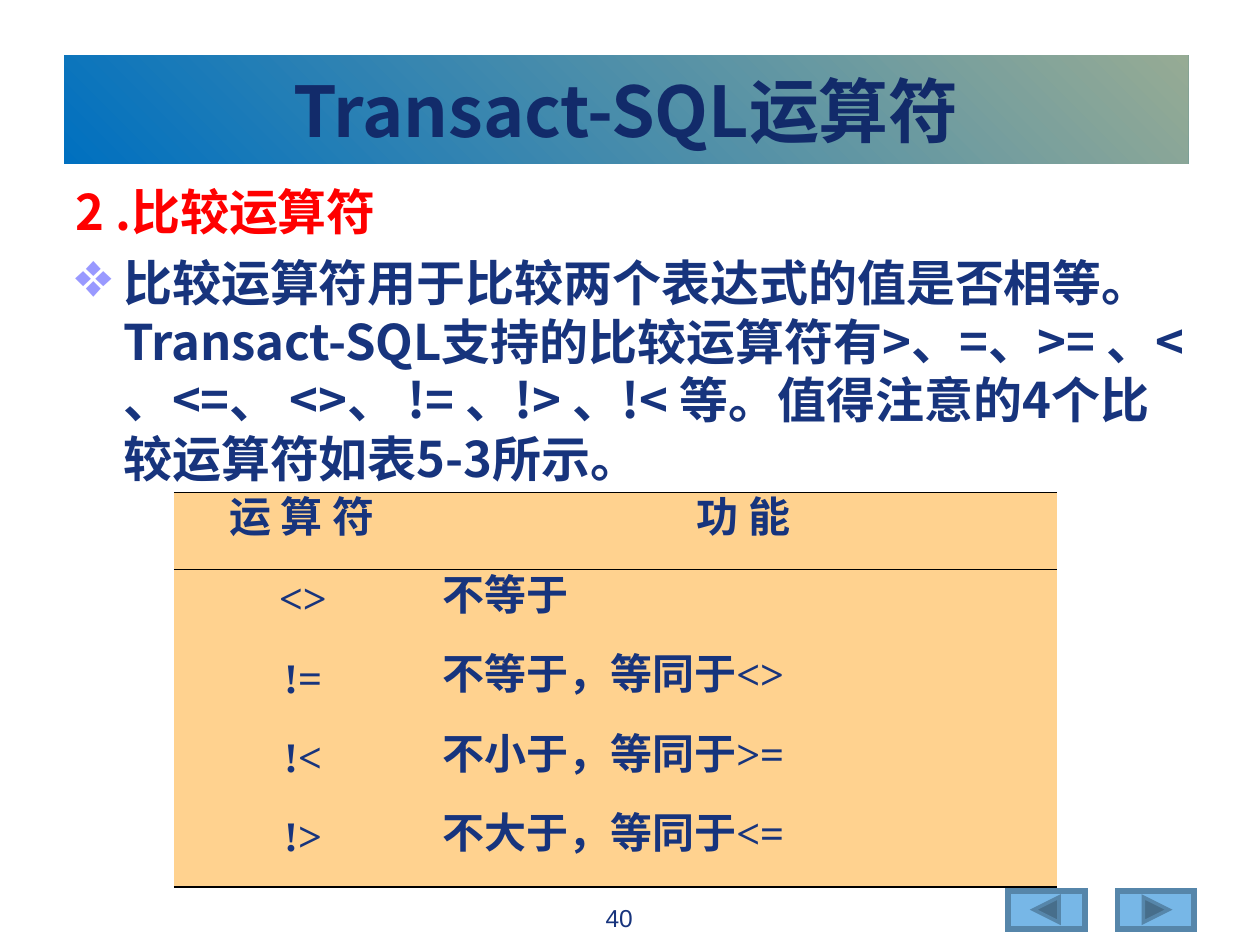
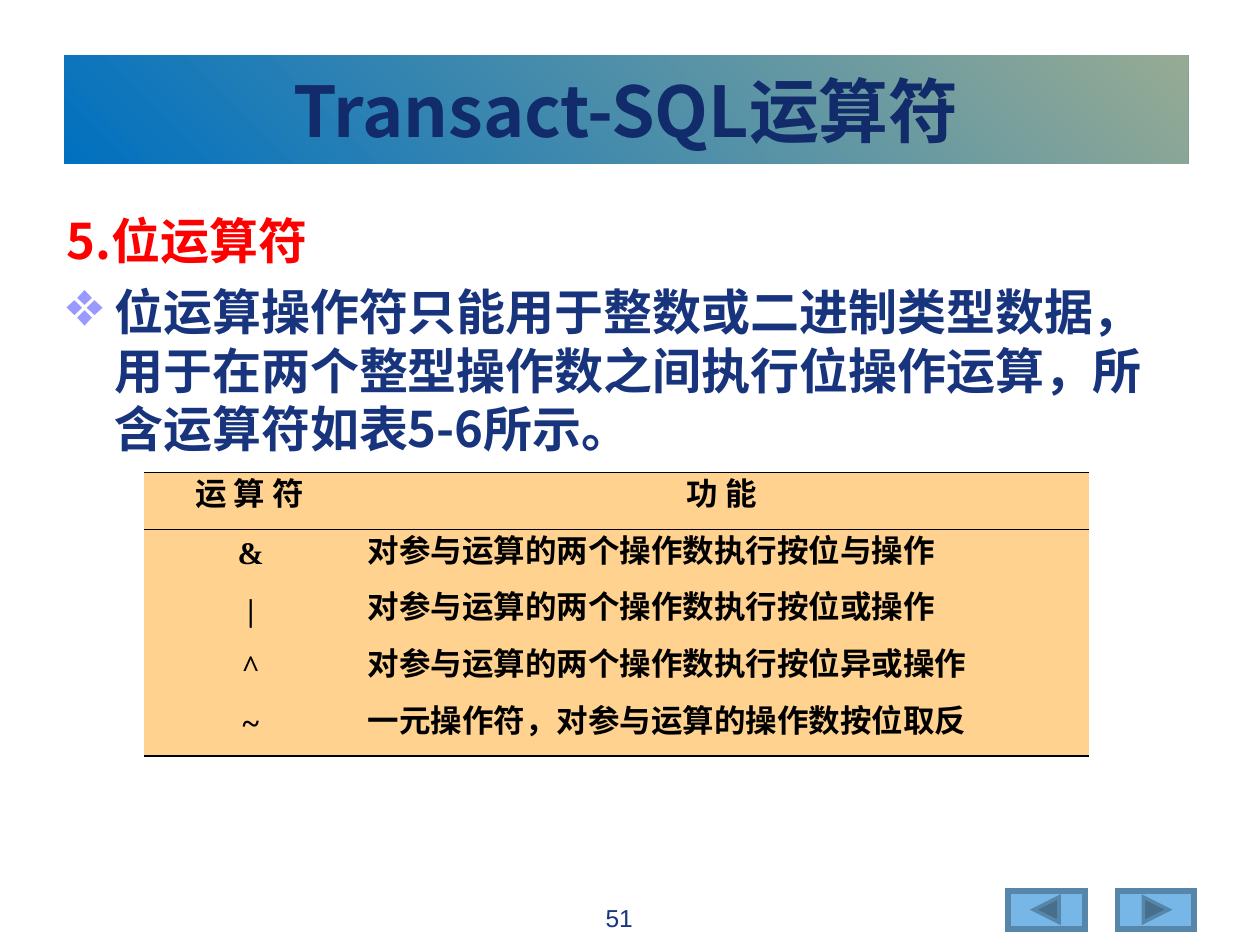
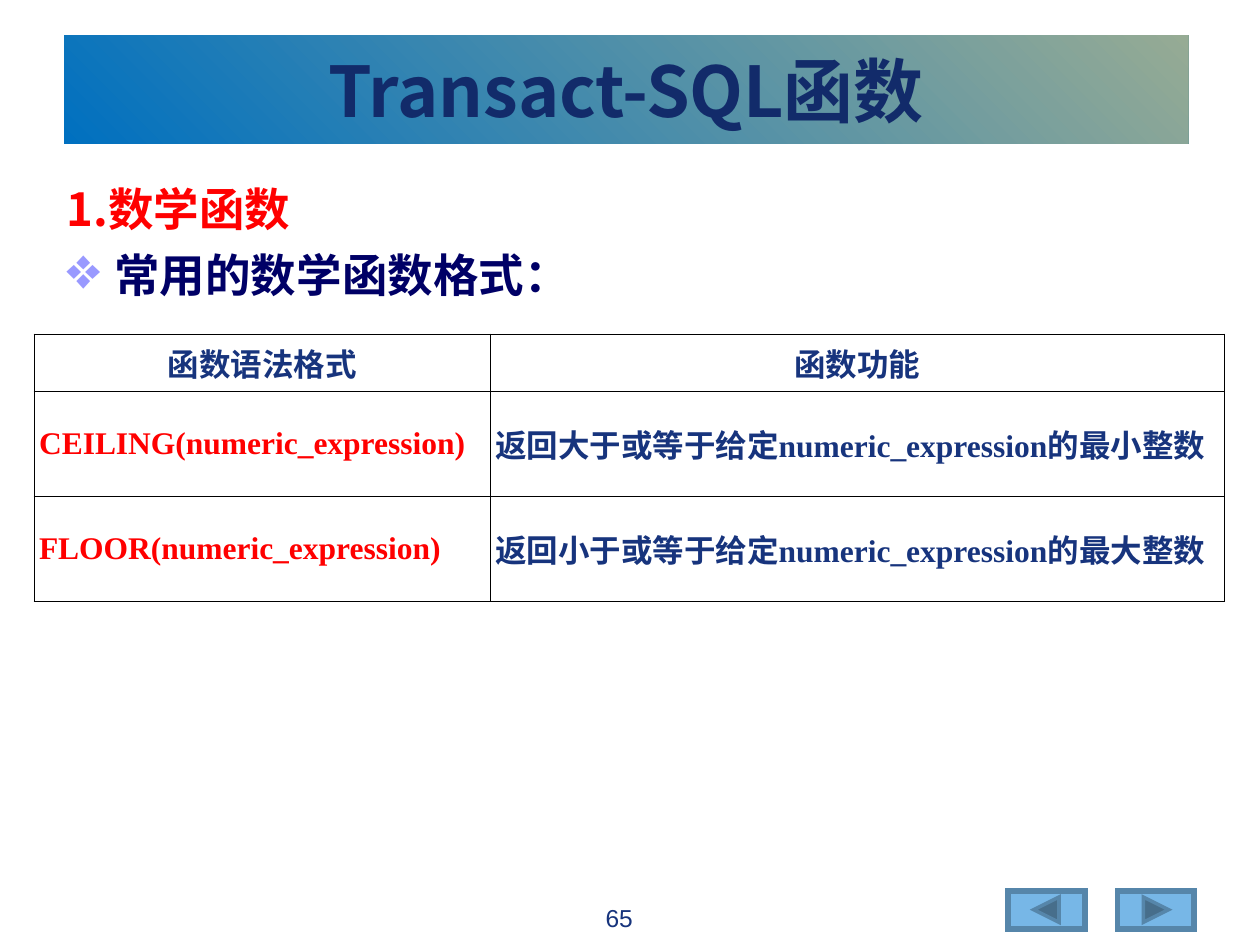
from dataclasses import dataclass

import lxml.etree
import pptx
import pptx.dml.color
import pptx.enum.shapes
import pptx.enum.text
import pptx.oxml.ns
import pptx.util

Inches = pptx.util.Inches
Pt = pptx.util.Pt
qn = pptx.oxml.ns.qn
Align = pptx.enum.text.PP_ALIGN
Anchor = pptx.enum.text.MSO_ANCHOR
Shape = pptx.enum.shapes.MSO_SHAPE


@dataclass(frozen=True)
class Theme:
    cjk_font: str = "Noto Sans CJK SC"
    sans_font: str = "Arial"
    serif_font: str = "Times New Roman"
    navy: str = "17347D"
    title_navy: str = "122B6A"
    deep_blue: str = "000066"
    red: str = "FF0000"
    black: str = "000000"
    white: str = "FFFFFF"
    bullet: str = "9999FF"
    band_start: str = "0070C0"
    band_end: str = "96AB94"
    orange: str = "FFD28F"
    button: str = "77B7E7"
    button_line: str = "5686AA"
    button_arrow: str = "476E8B"
    title_size: float = 40
    body_size: float = 28
    small_body_size: float = 26
    operator_size: float = 24
    table_size: float = 18
    footer_size: float = 14
    outer_rule: float = 0.75
    inner_rule: float = 0.45


THEME = Theme()


def rgb(value):
    return pptx.dml.color.RGBColor.from_string(value)


def add_element(parent, tag, **attributes):
    return lxml.etree.SubElement(parent, qn(tag), attributes)


def add_text(frame, text, *, size, color, font=THEME.cjk_font, bold=True,
             align=Align.LEFT, line=None, before=0, margin=0, indent=0, bullet=None):
    para = frame.paragraphs[0]
    if para.runs:
        para = frame.add_paragraph()
    properties = para._p.get_or_add_pPr()
    properties.set("marL", str(Inches(margin)))
    properties.set("indent", str(Inches(indent)))
    if bullet:
        add_element(add_element(properties, "a:buClr"), "a:srgbClr", val=THEME.bullet)
        add_element(properties, "a:buSzPct", val="130000")
        add_element(properties, "a:buChar", char=bullet)
    para.alignment = align
    para.space_before = Pt(before)
    if line:
        para.line_spacing = Pt(line)
    span = para.add_run()
    span.text = text
    span.font.size = Pt(size)
    span.font.bold = bold
    span.font.color.rgb = rgb(color)
    span.font.name = font
    add_element(span._r.get_or_add_rPr(), "a:ea", typeface=THEME.cjk_font)


def add_text_box(page, left, top, width, height):
    box = page.shapes.add_textbox(Inches(left), Inches(top), Inches(width), Inches(height))
    box.text_frame.word_wrap = True
    return box.text_frame


def paint_button_part(part, fill):
    part.shadow.inherit = False
    part.fill.solid()
    part.fill.fore_color.rgb = rgb(fill)
    part.line.color.rgb = rgb(THEME.button_line)
    part.line.width = Pt(2)
    add_element(part.line._get_or_add_ln(), "a:miter", lim="800000")


def add_button(page, left, direction):
    top, width, height, reach = 7.06, 0.63, 0.32, 0.1
    bevel = page.shapes.add_shape(
        Shape.BEVEL, Inches(left), Inches(top), Inches(width), Inches(height))
    bevel.adjustments[0] = 0.06
    paint_button_part(bevel, THEME.button)
    center, middle = left + width / 2, top + height / 2
    tip, back = center + direction * reach, center - direction * reach
    builder = page.shapes.build_freeform(Inches(tip), Inches(middle))
    builder.add_line_segments(
        [(Inches(back), Inches(middle + side * reach)) for side in (-1, 1)], close=True)
    paint_button_part(builder.convert_to_shape(), THEME.button_arrow)


def add_title(page, text, top):
    band = page.shapes.add_shape(
        Shape.RECTANGLE, Inches(0.51), Inches(top), Inches(8.92), Inches(0.86))
    band.shadow.inherit = False
    band.line.fill.background()
    band.fill.gradient()
    band.fill.gradient_angle = 45
    for stop, color in zip(band.fill.gradient_stops, (THEME.band_start, THEME.band_end)):
        stop.color.rgb = rgb(color)
    band.text_frame.vertical_anchor = Anchor.MIDDLE
    add_text(band.text_frame, text, size=THEME.title_size, color=THEME.title_navy,
             align=Align.CENTER)


def add_body(page, place, heading, statement, size=THEME.body_size, color=THEME.navy):
    frame = add_text_box(page, *place)
    style = dict(size=size, line=size * 1.2, margin=0.38, indent=-0.38)
    add_text(frame, heading, color=THEME.red, **style)
    add_text(frame, statement, color=color, before=size / 4, bullet="❖", **style)


def add_page(deck, title, number, title_top=0.44):
    page = deck.slides.add_slide(deck.slide_layouts[6])
    add_button(page, 8.86, 1)
    add_button(page, 7.99, -1)
    add_title(page, title, title_top)
    footer = add_text_box(page, 3.75, 7.12, 2.33, 0.34)
    add_text(footer, number, size=THEME.footer_size, color=THEME.navy,
             font=THEME.sans_font, bold=False, align=Align.CENTER)
    return page


def format_cell(cell, fill, side_margin, borders):
    properties = cell._tc.get_or_add_tcPr()
    for side in "LRTB":
        width = borders.get(side, 0)
        edge = add_element(properties, f"a:ln{side}", w=str(Pt(width)))
        if width:
            add_element(add_element(edge, "a:solidFill"), "a:srgbClr", val=THEME.black)
        else:
            add_element(edge, "a:noFill")
    cell.fill.solid()
    cell.fill.fore_color.rgb = rgb(fill)
    cell.vertical_anchor = Anchor.MIDDLE
    cell.margin_left = cell.margin_right = Inches(side_margin)
    cell.margin_top = cell.margin_bottom = Inches(0.05)


def add_grid(page, left, top, widths, heights):
    frame = page.shapes.add_table(
        len(heights), len(widths), Inches(left), Inches(top),
        Inches(sum(widths)), Inches(sum(heights)))
    table = frame.table
    table.first_row = table.horz_banding = False
    for column, width in zip(table.columns, widths):
        column.width = Inches(width)
    for row, height in zip(table.rows, heights):
        row.height = Inches(height)
    return table


def add_operator_table(page, left, top, widths, heights, rows, size, color):
    rows = [("运 算 符", "功 能")] + rows
    table = add_grid(page, left, top, widths, heights)
    last = len(rows) - 1
    for row, texts in enumerate(rows):
        borders = {}
        if row == 0:
            borders = {"T": THEME.outer_rule, "B": THEME.inner_rule}
        elif row == 1:
            borders = {"T": THEME.inner_rule}
        elif row == last:
            borders = {"B": THEME.outer_rule}
        for column, text in enumerate(texts):
            cell = table.cell(row, column)
            format_cell(cell, THEME.orange, 0.08, borders)
            add_text(cell.text_frame, text, size=size, color=color, line=15.6,
                     font=THEME.serif_font if row else THEME.sans_font,
                     align=Align.JUSTIFY if row and column else Align.CENTER,
                     margin=0.02 if row else 0)


def add_function_table(page, rows):
    table = add_grid(page, 0.27, 2.65, [3.62, 5.83], [0.46, 0.83, 0.83])
    borders = dict.fromkeys("LRTB", THEME.inner_rule)
    for row, texts in enumerate(rows):
        for column, text in enumerate(texts):
            cell = table.cell(row, column)
            format_cell(cell, THEME.white, 0.04, borders)
            add_text(cell.text_frame, text, size=THEME.table_size, font=THEME.serif_font,
                     color=THEME.red if row and column == 0 else THEME.navy,
                     align=Align.LEFT if row else Align.CENTER)


def add_comparison_page(deck):
    page = add_page(deck, "Transact-SQL运算符", "40")
    add_body(page, (0.5, 1.39, 9, 4.96), "2 .比较运算符",
             "比较运算符用于比较两个表达式的值是否相等。Transact-SQL支持的比较运算符有"
             ">、=、>= 、< 、<=、 <>、 != 、!> 、!< 等。"
             "值得注意的4个比较运算符如表5-3所示。")
    rows = [("<>", "不等于"), ("!=", "不等于，等同于<>"),
            ("!<", "不小于，等同于>="), ("!>", "不大于，等同于<=")]
    add_operator_table(page, 1.38, 3.91, [2.03, 4.98], [0.61] + [0.63] * 4, rows,
                       THEME.operator_size, THEME.navy)


def add_bitwise_page(deck):
    page = add_page(deck, "Transact-SQL运算符", "51")
    add_body(page, (0.43, 1.62, 9, 2.28), "5.位运算符",
             "位运算操作符只能用于整数或二进制类型数据，"
             "用于在两个整型操作数之间执行位操作运算，所含运算符如表5-6所示。")
    rows = [("&", "对参与运算的两个操作数执行按位与操作"),
            ("|", "对参与运算的两个操作数执行按位或操作"),
            ("^", "对参与运算的两个操作数执行按位异或操作"),
            ("~", "一元操作符，对参与运算的操作数按位取反")]
    add_operator_table(page, 1.14, 3.75, [1.68, 5.82], [0.45] * 5, rows,
                       THEME.table_size, THEME.black)


def add_math_page(deck):
    page = add_page(deck, "Transact-SQL函数", "65", title_top=0.28)
    add_body(page, (0.43, 1.39, 9.19, 1.1), "1.数学函数", "常用的数学函数格式：",
             size=THEME.small_body_size, color=THEME.deep_blue)
    add_function_table(page, [
        ("函数语法格式", "函数功能"),
        ("CEILING(numeric_expression)", "返回大于或等于给定numeric_expression的最小整数"),
        ("FLOOR(numeric_expression)", "返回小于或等于给定numeric_expression的最大整数"),
    ])


def main():
    deck = pptx.Presentation()
    deck.slide_width = Inches(10)
    deck.slide_height = Inches(7.5)
    add_comparison_page(deck)
    add_bitwise_page(deck)
    add_math_page(deck)
    deck.save("out.pptx")


if __name__ == "__main__":
    main()
